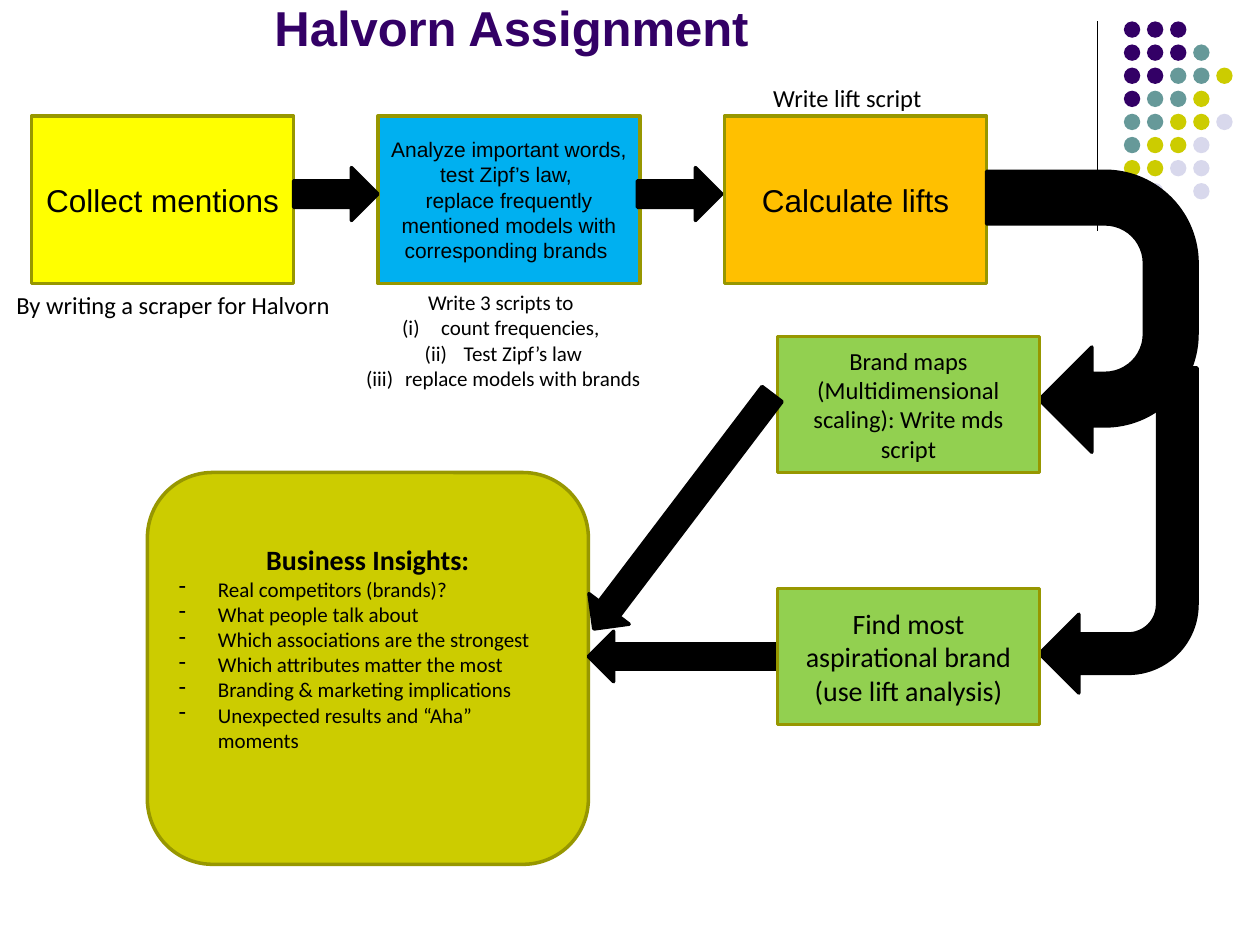
"""Builds the assignment flow slide."""
from lxml import etree
from pptx import Presentation
from pptx.dml.color import RGBColor
from pptx.enum import shapes, text
from pptx.oxml import ns
from pptx.util import Inches, Pt

BLACK = RGBColor(0x00, 0x00, 0x00)
PURPLE = RGBColor(0x33, 0x00, 0x66)
TEAL = RGBColor(0x66, 0x99, 0x99)
LIME = RGBColor(0xCC, 0xCC, 0x00)
PALE = RGBColor(0xD8, 0xD8, 0xEC)
OLIVE = RGBColor(0x97, 0x97, 0x00)
YELLOW = RGBColor(0xFF, 0xFF, 0x00)
BLUE = RGBColor(0x00, 0xB0, 0xF0)
ORANGE = RGBColor(0xFF, 0xC0, 0x00)
GREEN = RGBColor(0x92, 0xD0, 0x50)

KIND = shapes.MSO_SHAPE
LEFT, CENTER = text.PP_ALIGN.LEFT, text.PP_ALIGN.CENTER
TOP, MIDDLE, BOTTOM = (text.MSO_ANCHOR.TOP, text.MSO_ANCHOR.MIDDLE,
                       text.MSO_ANCHOR.BOTTOM)
DASH = ("buChar", "char", "-")
ROMAN = ("buAutoNum", "type", "romanLcParenBoth")

DOTS = ["PPP", "PPPT", "PPTTL", "PTTL", "TTLLG", "TLLG", "LLGG", " G G"]
TINTS = {"P": PURPLE, "T": TEAL, "L": LIME, "G": PALE}


class Board:
    def __init__(self, slide, font="Calibri", edge=2):
        self.slide = slide
        self.font = font
        self.edge = edge

    def shape(self, kind, box, fill, line=None, turn=0):
        item = self.slide.shapes.add_shape(kind, *map(Inches, box))
        item.shadow.inherit = False
        item.fill.solid()
        item.fill.fore_color.rgb = fill
        if line is None:
            item.line.fill.background()
        else:
            item.line.color.rgb = line
            item.line.width = Pt(self.edge)
        item.rotation = turn
        return item

    def arrow(self, box, kind=KIND.RIGHT_ARROW, turn=0):
        return self.shape(kind, box, BLACK, BLACK, turn)

    def card(self, box, fill, lines, size, font=None, kind=KIND.RECTANGLE):
        item = self.shape(kind, box, fill, OLIVE)
        item.text_frame.vertical_anchor = MIDDLE
        for line in lines:
            self.para(item, line, size, font=font)
        return item

    def label(self, box, wrap=False, anchor=TOP):
        item = self.slide.shapes.add_textbox(*map(Inches, box))
        item.text_frame.word_wrap = wrap
        item.text_frame.vertical_anchor = anchor
        return item

    def para(self, item, words, size, align=CENTER, font=None, bold=False,
             color=BLACK, mark=None):
        frame = item.text_frame
        para = frame.paragraphs[0]
        if para.runs:
            para = frame.add_paragraph()
        para.alignment = align
        run = para.add_run()
        run.text = words
        run.font.name = font or self.font
        run.font.size = Pt(size)
        run.font.bold = bold
        run.font.color.rgb = color
        if mark:
            tag, key, value = mark
            props = para._p.get_or_add_pPr()
            props.set("marL", str(Inches(0.31)))
            props.set("indent", str(-Inches(0.31)))
            etree.SubElement(props, ns.qn("a:" + tag)).set(key, value)

    def rule(self, start, end):
        item = self.slide.shapes.add_connector(
            shapes.MSO_CONNECTOR.STRAIGHT, *map(Inches, start + end))
        item.line.color.rgb = BLACK
        item.line.width = Pt(0.75)
        etree.SubElement(item._element.spPr, ns.qn("a:effectLst"))

    def dots(self, left, top, step, size):
        for row, tints in enumerate(DOTS):
            for col, tint in enumerate(tints):
                if tint in TINTS:
                    box = (left + col * step, top + row * step, size, size)
                    self.shape(KIND.OVAL, box, TINTS[tint])


def main():
    deck = Presentation()
    deck.slide_width, deck.slide_height = Inches(10), Inches(7.5)
    board = Board(deck.slides.add_slide(deck.slide_layouts[6]))

    board.rule((8.71, 0.17), (8.71, 1.83))
    board.dots(8.92, 0.17, 0.55 / 3, 0.13)
    title = board.label((2.08, -0.92, 8.25, 1.42), True, BOTTOM)
    board.para(title, "Halvorn Assignment", 28, LEFT, "Arial", True, PURPLE)

    steps = [
        (YELLOW, 18, ["Collect mentions"]),
        (BLUE, 12, ["Analyze important words, test Zipf’s law, ",
                    "replace frequently mentioned models with "
                    "corresponding brands "]),
        (ORANGE, 18, ["Calculate lifts"]),
    ]
    for num, (fill, size, lines) in enumerate(steps):
        board.card((0.25 + 2.75 * num, 0.92, 2.08, 1.33), fill, lines, size,
                   "Arial")
    for left in (2.33, 5.06):
        board.arrow((left, 1.33, 0.67, 0.42))

    source = board.label((-0.04, 2.25, 2.83, 0.34))
    board.para(source, "By writing a scraper for Halvorn", 14)
    scripts = board.label((2.71, 2.25, 2.57, 1.21))
    board.para(scripts, "Write 3 scripts to ", 12)
    for task in ("count frequencies, ", "Test Zipf’s law",
                 "replace models with brands"):
        board.para(scripts, task, 12, mark=ROMAN)

    board.arrow((7.55, 1.64, 2.23, 1.67), KIND.U_TURN_ARROW, 90)
    board.card((6.17, 2.67, 2.08, 1.08), GREEN,
               ["Brand maps", "(Multidimensional scaling): Write mds script"],
               14)
    board.arrow((8.25, 2.92, 1.25, 2.58), KIND.BENT_ARROW, 180)

    goals = board.card((1.17, 3.75, 3.5, 3.11), LIME, [], 12,
                       kind=KIND.ROUNDED_RECTANGLE)
    goals.text_frame.margin_bottom = Inches(0.38)
    board.para(goals, "Business Insights:", 16, bold=True)
    for goal in ("Real competitors (brands)?", "What people talk about",
                 "Which associations are the strongest",
                 "Which attributes matter the most",
                 "Branding & marketing implications",
                 "Unexpected results and “Aha” moments"):
        board.para(goals, goal, 12, LEFT, mark=DASH)

    board.arrow((4.25, 3.86, 2.34, 0.4), turn=127.2)
    board.arrow((4.67, 5.01, 1.51, 0.4), turn=180)
    lift = board.label((6.01, 0.61, 1.43, 0.64))
    board.para(lift, "Write lift script", 14)
    board.card((6.17, 4.67, 2.08, 1.08), GREEN,
               ["Find most aspirational brand", "(use lift analysis)"], 16)

    deck.save("out.pptx")


if __name__ == "__main__":
    main()
